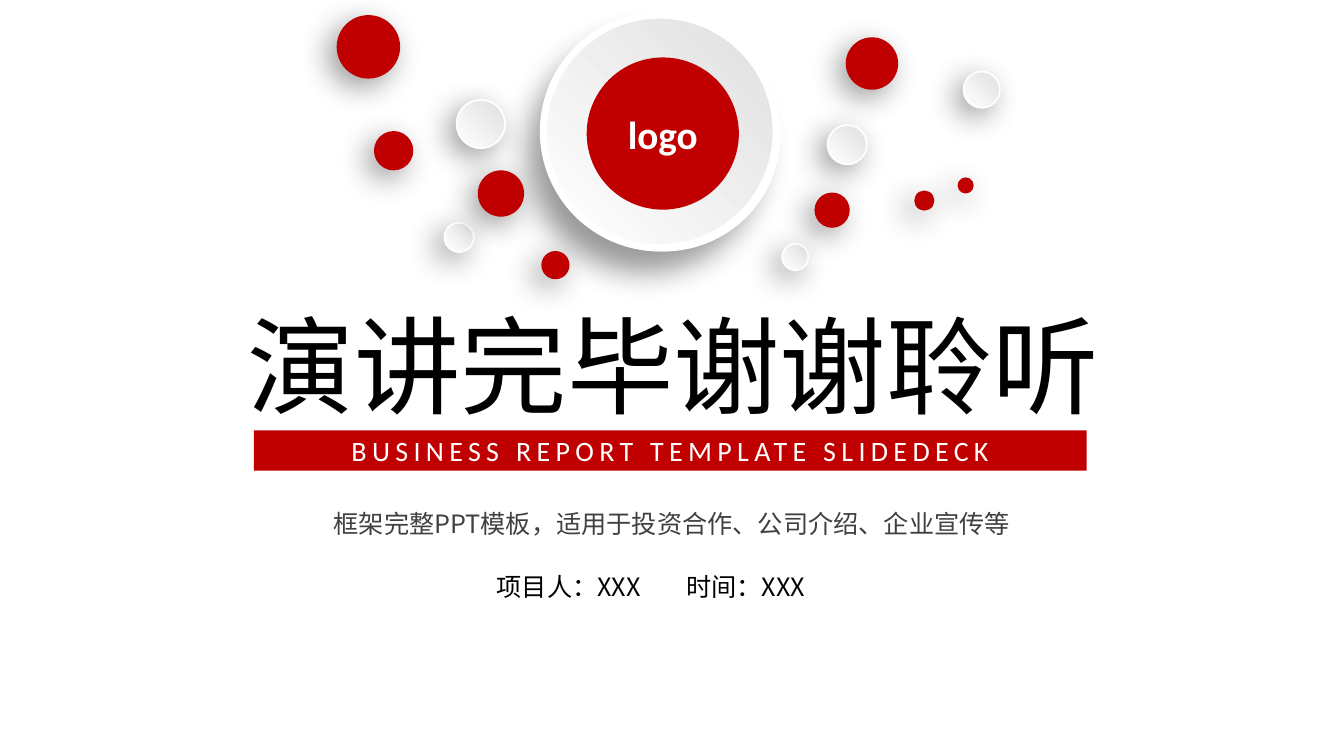
"""Build the closing slide: a cluster of shaded bubbles above centred thank-you text."""
import dataclasses
import typing

import lxml.etree
import pptx
import pptx.dml.color
import pptx.enum.dml
import pptx.enum.shapes
import pptx.enum.text
import pptx.oxml.ns
import pptx.shapes.autoshape
import pptx.shapes.base
import pptx.shapes.shapetree
import pptx.text.text
import pptx.util

CELL = pptx.util.Inches(0.1)
COLUMNS, ROWS = 133.33, 75
Align = pptx.enum.text.PP_ALIGN
Anchor = pptx.enum.text.MSO_ANCHOR
Preset = pptx.enum.shapes.MSO_SHAPE
Shapes = pptx.shapes.shapetree.SlideShapes | pptx.shapes.shapetree.GroupShapes


@dataclasses.dataclass(frozen=True)
class Theme:
    red: str = "C00000"
    white: str = "FFFFFF"
    silver: str = "E0E0E0"
    black: str = "000000"
    grey: str = "404040"
    latin: str = "Calibri"
    chinese: str = "Noto Sans CJK SC"
    title_size: int = 76
    logo_size: int = 28
    banner_size: int = 20
    body_size: int = 18


THEME = Theme()


class Box(typing.NamedTuple):
    column: float
    row: float
    width: float
    height: float


class Bubble(typing.NamedTuple):
    column: float
    row: float
    size: float
    rim: float = 0
    shadow_distance: int = 8


class TextStyle(typing.NamedTuple):
    size: int
    color: str
    font: str = THEME.chinese
    align: Align = Align.CENTER
    anchor: Anchor = Anchor.TOP
    bold: bool = False
    spacing: int = 0
    wrap: bool = True


BUBBLES = (
    Bubble(54.6, 2.1, 22.5, 5, 20),
    Bubble(95.6, 7.1, 3.6, 1.25),
    Bubble(44.1, 22.1, 2.9, 1.25),
    Bubble(33.4, 1.5, 6.3),
    Bubble(47.4, 16.9, 4.6),
    Bubble(82.1, 12.4, 3.9, 1.25),
    Bubble(45.3, 9.9, 4.8, 1.25),
    Bubble(77.6, 24.2, 2.6, 1.25),
    Bubble(37.1, 13, 3.9),
    Bubble(80.8, 19.1, 3.5),
    Bubble(83.9, 3.7, 5.2),
    Bubble(90.7, 18.9, 2),
    Bubble(95, 17.6, 1.6),
    Bubble(53.7, 24.9, 2.8),
)
LOGO_RING = Bubble(53.9, 1.5, 23.1, 5, 0)
LOGO_DISC = Bubble(58.2, 5.7, 15.1, 0, 0)


def rgb(color: str) -> pptx.dml.color.RGBColor:
    return pptx.dml.color.RGBColor.from_string(color)


def cells(count: float) -> pptx.util.Emu:
    return pptx.util.Emu(round(count * CELL))


def add_child(parent: lxml.etree._Element, tag: str, **attributes: object) -> lxml.etree._Element:
    values = {name: str(value) for name, value in attributes.items()}
    return lxml.etree.SubElement(parent, pptx.oxml.ns.qn(tag), values)


def place(shape: pptx.shapes.base.BaseShape, box: Box) -> None:
    shape.left, shape.top, shape.width, shape.height = map(cells, box)


def add_shadow(shape: pptx.shapes.autoshape.Shape, distance: int) -> None:
    effects = shape._element.spPr.find(pptx.oxml.ns.qn("a:effectLst"))
    shadow = add_child(effects, "a:outerShdw", blurRad=pptx.util.Pt(22),
                       dist=pptx.util.Pt(distance), dir=135 * 60000,
                       algn="tr", rotWithShape=0)
    color = add_child(shadow, "a:srgbClr", val=THEME.black)
    add_child(color, "a:alpha", val=40000)


def add_red_shape(shapes: Shapes, preset: Preset, box: Box) -> pptx.shapes.autoshape.Shape:
    shape = shapes.add_shape(preset, *map(cells, box))
    shape.shadow.inherit = False
    shape.fill.solid()
    shape.fill.fore_color.rgb = rgb(THEME.red)
    shape.line.fill.background()
    return shape


def add_bubble(shapes: Shapes, bubble: Bubble) -> pptx.shapes.autoshape.Shape:
    box = Box(bubble.column, bubble.row, bubble.size, bubble.size)
    shape = add_red_shape(shapes, Preset.OVAL, box)
    if bubble.rim:
        shape.fill.gradient()
        shape.fill.gradient_angle = 225
        for stop, color in zip(shape.fill.gradient_stops, (THEME.silver, THEME.white)):
            stop.color.rgb = rgb(color)
        shape.line.color.rgb = rgb(THEME.white)
        shape.line.width = pptx.util.Pt(bubble.rim)
    if bubble.shadow_distance:
        add_shadow(shape, bubble.shadow_distance)
    return shape


def write(shape: pptx.shapes.autoshape.Shape, text: str, style: TextStyle) -> pptx.text.text._Paragraph:
    frame = shape.text_frame
    frame.text = text
    frame.word_wrap = style.wrap
    frame.vertical_anchor = style.anchor
    frame.auto_size = pptx.enum.text.MSO_AUTO_SIZE.NONE
    paragraph = frame.paragraphs[0]
    paragraph.alignment = style.align
    paragraph.space_before = pptx.util.Pt(0)
    for run in paragraph.runs:
        run.font.size = pptx.util.Pt(style.size)
        run.font.bold = style.bold
        run.font.color.rgb = rgb(style.color)
        run.font.name = style.font
        properties = run._r.get_or_add_rPr()
        add_child(properties, "a:ea", typeface=style.font)
        if style.spacing:
            properties.set("spc", str(style.spacing))
    return paragraph


def main() -> None:
    presentation = pptx.Presentation()
    presentation.slide_width, presentation.slide_height = cells(COLUMNS), cells(ROWS)
    slide = presentation.slides.add_slide(presentation.slide_layouts[0])
    title, description = slide.placeholders

    for bubble in BUBBLES:
        add_bubble(slide.shapes, bubble)
    logo = slide.shapes.add_group_shape()
    add_bubble(logo.shapes, LOGO_RING)
    write(add_bubble(logo.shapes, LOGO_DISC), "logo",
          TextStyle(THEME.logo_size, THEME.white, THEME.latin, anchor=Anchor.MIDDLE, bold=True))

    place(title, Box(23.6, 29.2, 87.3, 13.8))
    write(title, "演讲完毕谢谢聆听",
          TextStyle(THEME.title_size, THEME.black, align=Align.LEFT,
                    anchor=Anchor.MIDDLE, wrap=False))

    banner = add_red_shape(slide.shapes, Preset.RECTANGLE, Box(25.2, 42.7, 82.6, 4))
    write(banner, "BUSINESS REPORT TEMPLATE SLIDEDECK",
          TextStyle(THEME.banner_size, THEME.white, THEME.latin,
                    anchor=Anchor.MIDDLE, spacing=380))

    place(description, Box(28.6, 49.9, 76.1, 4))
    write(description, "框架完整PPT模板，适用于投资合作、公司介绍、企业宣传等",
          TextStyle(THEME.body_size, THEME.grey))

    credits = slide.shapes.add_textbox(*map(cells, Box(48.3, 56.2, 42, 4)))
    paragraph = write(credits, "项目人：XXX\t时间：XXX",
                      TextStyle(THEME.body_size, THEME.black, align=Align.LEFT))
    tabs = add_child(paragraph._p.get_or_add_pPr(), "a:tabLst")
    add_child(tabs, "a:tab", pos=cells(18.8), algn="l")

    presentation.save("out.pptx")


if __name__ == "__main__":
    main()
